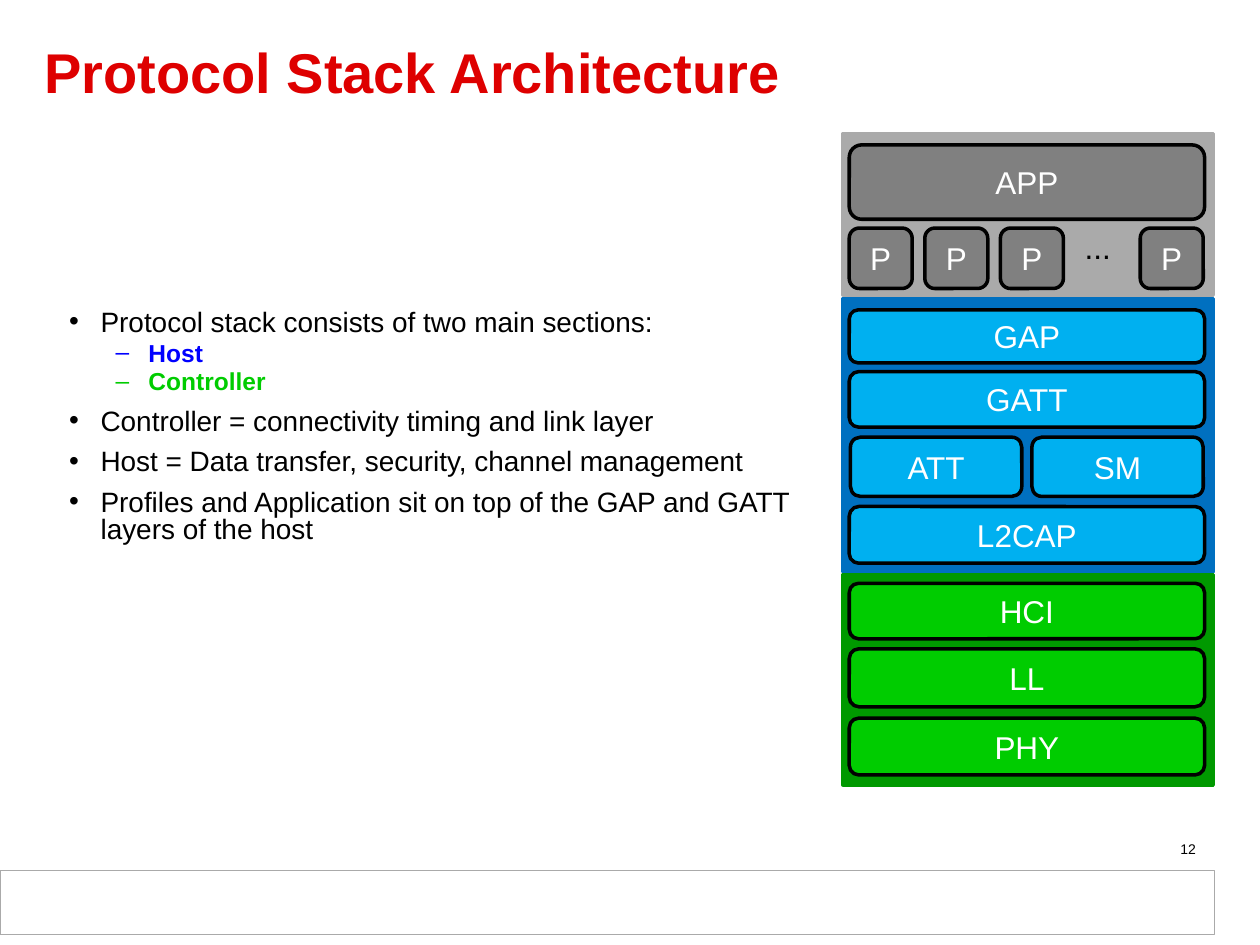
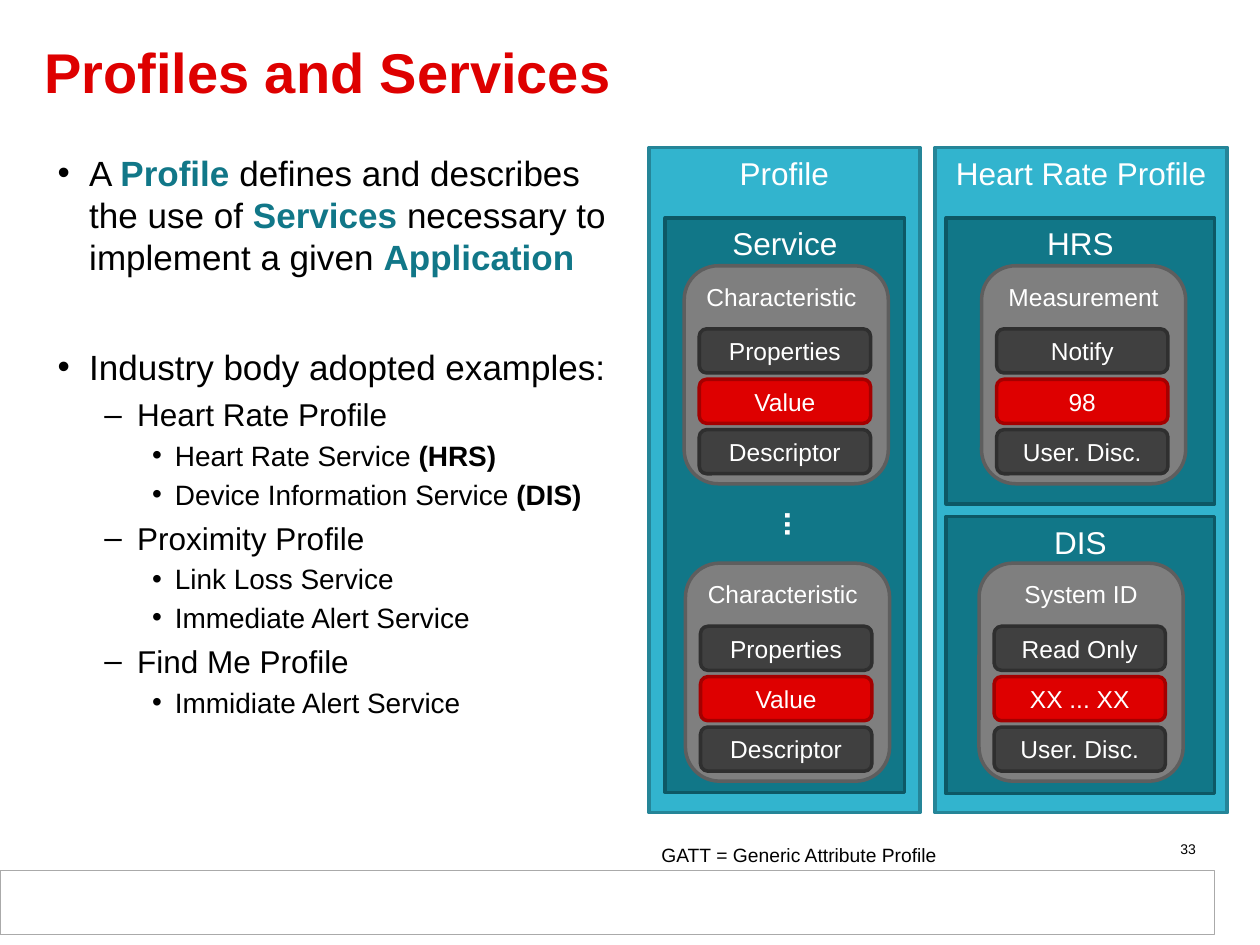
import dataclasses

import lxml.etree
import pptx
import pptx.dml.color
import pptx.enum.shapes
import pptx.enum.text
import pptx.oxml.ns
import pptx.util

Inches = pptx.util.Inches
Pt = pptx.util.Pt
Align = pptx.enum.text.PP_ALIGN
Anchor = pptx.enum.text.MSO_ANCHOR
Kind = pptx.enum.shapes.MSO_SHAPE


@dataclasses.dataclass(frozen=True)
class Theme:
    font: str = "Arial"
    white: str = "FFFFFF"
    black: str = "000000"
    red: str = "DE0000"
    wine: str = "A40000"
    silver: str = "AAAAAA"
    gray: str = "808080"
    blue: str = "0070C0"
    sky: str = "00B0F0"
    ink: str = "0000FF"
    green: str = "009900"
    lime: str = "00CC00"
    aqua: str = "32B4CE"
    sea: str = "258598"
    teal: str = "117788"
    deep: str = "0D5865"
    stone: str = "7F7F7F"
    slate: str = "5E5E5E"
    coal: str = "404040"
    soot: str = "2F2F2F"
    title: int = 32
    large: int = 20
    label: int = 18
    text: int = 16
    small: int = 14
    note: int = 11
    page: int = 8
    edge: float = 2


LEVELS = [("•", 0.25, -0.25, 8), ("–", 0.63, -0.26, 4.5), ("•", 0.93, -0.18, 3)]


class Deck:
    def __init__(self, theme):
        self.theme = theme
        self.show = pptx.Presentation()
        self.show.slide_width = Inches(10)
        self.show.slide_height = Inches(7.5)
        self.slide = None

    def run(self, para, text, size, color, bold=False):
        run = para.add_run()
        run.text = text
        run.font.name = self.theme.font
        run.font.size = Pt(size)
        run.font.bold = bold
        run.font.color.rgb = pptx.dml.color.RGBColor.from_string(color)

    def page(self, title, number):
        t = self.theme
        self.slide = self.show.slides.add_slide(self.show.slide_layouts[5])
        self.shape(Kind.RECTANGLE, (0, 6.91, 9.64, 0.51), t.white, t.silver, edge=0.75)
        head = self.slide.shapes.title
        head.left, head.top, head.width, head.height = map(Inches, (0.25, 0.16, 9.25, 0.89))
        head.text_frame.vertical_anchor = Anchor.MIDDLE
        para = head.text_frame.paragraphs[0]
        para.alignment = Align.LEFT
        para.line_spacing = 0.85
        self.run(para, title, t.title, t.red, True)
        self.note((7.26, 6.62, 2.33, 0.23), number, t.page, align=Align.RIGHT)

    def shape(self, kind, area, fill, line, text="", size=None, edge=None,
              anchor=Anchor.MIDDLE, align=Align.CENTER):
        form = self.slide.shapes.add_shape(kind, *map(Inches, area))
        form.shadow.inherit = False
        form.fill.solid()
        form.fill.fore_color.rgb = pptx.dml.color.RGBColor.from_string(fill)
        form.line.color.rgb = pptx.dml.color.RGBColor.from_string(line)
        form.line.width = Pt(edge or self.theme.edge)
        if text:
            form.text_frame.vertical_anchor = anchor
            para = form.text_frame.paragraphs[0]
            para.alignment = align
            self.run(para, text, size or self.theme.label, self.theme.white)

    def panel(self, area, fill, line, text=""):
        self.shape(Kind.RECTANGLE, area, fill, line, text, anchor=Anchor.TOP)

    def block(self, area, fill, text):
        self.shape(Kind.ROUNDED_RECTANGLE, area, fill, self.theme.black, text)

    def card(self, left, top, name, parts, align=Align.CENTER):
        t = self.theme
        self.shape(Kind.ROUNDED_RECTANGLE, (left, top, 1.62, 1.73), t.stone, t.slate,
                   name, t.small, anchor=Anchor.TOP, align=align)
        tones = [(t.coal, t.soot), (t.red, t.wine), (t.coal, t.soot)]
        for row, (part, (fill, line)) in enumerate(zip(parts, tones)):
            area = (left + 0.12, top + 0.5 + 0.4 * row, 1.36, 0.35)
            self.shape(Kind.ROUNDED_RECTANGLE, area, fill, line, part, t.small)

    def note(self, area, text, size, color=None, bold=False, align=Align.LEFT,
             wrap=True, turn=0):
        box = self.slide.shapes.add_textbox(*map(Inches, area))
        box.rotation = turn
        box.text_frame.word_wrap = wrap
        para = box.text_frame.paragraphs[0]
        para.alignment = align
        self.run(para, text, size, color or self.theme.black, bold)

    def body(self, area, sizes, items, pitch=None):
        frame = self.slide.shapes.add_textbox(*map(Inches, area)).text_frame
        frame.word_wrap = True
        for index, (level, runs, *gap) in enumerate(items):
            para = frame.add_paragraph() if index else frame.paragraphs[0]
            mark, left, hang, space = LEVELS[level]
            props = para._p.get_or_add_pPr()
            props.set("marL", str(Inches(left)))
            props.set("indent", str(Inches(hang)))
            qn = pptx.oxml.ns.qn
            lxml.etree.SubElement(props, qn("a:buFont")).set("typeface", self.theme.font)
            lxml.etree.SubElement(props, qn("a:buChar")).set("char", mark)
            para.level = level
            para.space_before = Pt((gap[0] if gap else space) if index else 0)
            if pitch:
                para.line_spacing = pitch
            for text, *style in runs:
                color, bold = style or (self.theme.black, False)
                self.run(para, text, sizes[level], color, bold)


def stack(deck):
    t = deck.theme
    deck.page("Protocol Stack Architecture", "12")
    deck.body((0.45, 2.42, 6.01, 5.08), (t.text, t.small), [
        (0, [("Protocol stack consists of two main sections:",)]),
        (1, [("Host", t.ink, True)], 3),
        (1, [("Controller", t.lime, True)], 3),
        (0, [("Controller = connectivity timing and link layer",)]),
        (0, [("Host = Data transfer, security, channel management",)]),
        (0, [("Profiles and Application sit on top of the GAP and GATT layers of the host",)]),
    ], 0.8)
    for top, high, fill in [(1.06, 1.28, t.silver), (2.37, 2.17, t.blue), (4.56, 1.67, t.green)]:
        deck.panel((6.69, top, 2.94, high), fill, fill)
    layers = [
        ("APP", 1.15, 0.59, t.gray),
        ("GAP", 2.46, 0.42, t.sky),
        ("GATT", 2.95, 0.44, t.sky),
        ("L2CAP", 4.02, 0.45, t.sky),
        ("HCI", 4.63, 0.44, t.lime),
        ("LL", 5.15, 0.46, t.lime),
        ("PHY", 5.7, 0.45, t.lime),
    ]
    for name, top, high, fill in layers:
        deck.block((6.74, top, 2.82, high), fill, name)
    for left, name in [(6.75, "ATT"), (8.19, "SM")]:
        deck.block((left, 3.47, 1.36, 0.47), t.sky, name)
    for left in (6.74, 7.34, 7.94, 9.05):
        deck.block((left, 1.81, 0.5, 0.48), t.gray, "P")
    deck.note((8.51, 1.76, 0.59, 0.44), "...", t.label)


def profiles(deck):
    t = deck.theme
    deck.page("Profiles and Services", "33")
    deck.body((0.36, 1.15, 4.68, 4.87), (t.large, t.label, t.text), [
        (0, [("A ",), ("Profile", t.teal, True), (" defines and describes the use of ",),
             ("Services ", t.teal, True), ("necessary to implement a given ",),
             ("Application", t.teal, True)]),
        (0, [("Industry body adopted examples:",)], 39),
        (1, [("Heart Rate Profile",)]),
        (2, [("Heart Rate Service ",), ("(HRS)", t.black, True)]),
        (2, [("Device Information Service",), (" (DIS)", t.black, True)]),
        (1, [("Proximity Profile",)]),
        (2, [("Link Loss Service",)]),
        (2, [("Immediate Alert Service",)]),
        (1, [("Find Me Profile",)]),
        (2, [("Immidiate Alert Service",)]),
    ])
    for left, wide, name in [(5.15, 2.15, "Profile"), (7.42, 2.32, "Heart Rate Profile")]:
        deck.panel((left, 1.17, wide, 5.28), t.aqua, t.sea, name)
    for area, name in [((5.28, 1.73, 1.9, 4.56), "Service"),
                       ((7.51, 1.73, 2.13, 2.27), "HRS"),
                       ((7.51, 4.1, 2.13, 2.2), "DIS")]:
        deck.panel(area, t.teal, t.deep, name)
    for left, top in [(5.43, 2.11), (5.44, 4.47)]:
        deck.card(left, top, "Characteristic", ("Properties", "Value", "Descriptor"), Align.LEFT)
    deck.card(7.79, 2.11, "Measurement", ("Notify", "98", "User. Disc."))
    deck.card(7.77, 4.47, "System ID", ("Read Only", "XX ... XX", "User. Disc."))
    deck.note((6.07, 4.02, 0.52, 0.4), "...", t.label, t.white, True, turn=90)
    deck.note((5.15, 6.64, 2.42, 0.29), "GATT = Generic Attribute Profile", t.note, wrap=False)


def main():
    deck = Deck(Theme())
    stack(deck)
    profiles(deck)
    deck.show.save("out.pptx")


if __name__ == "__main__":
    main()
